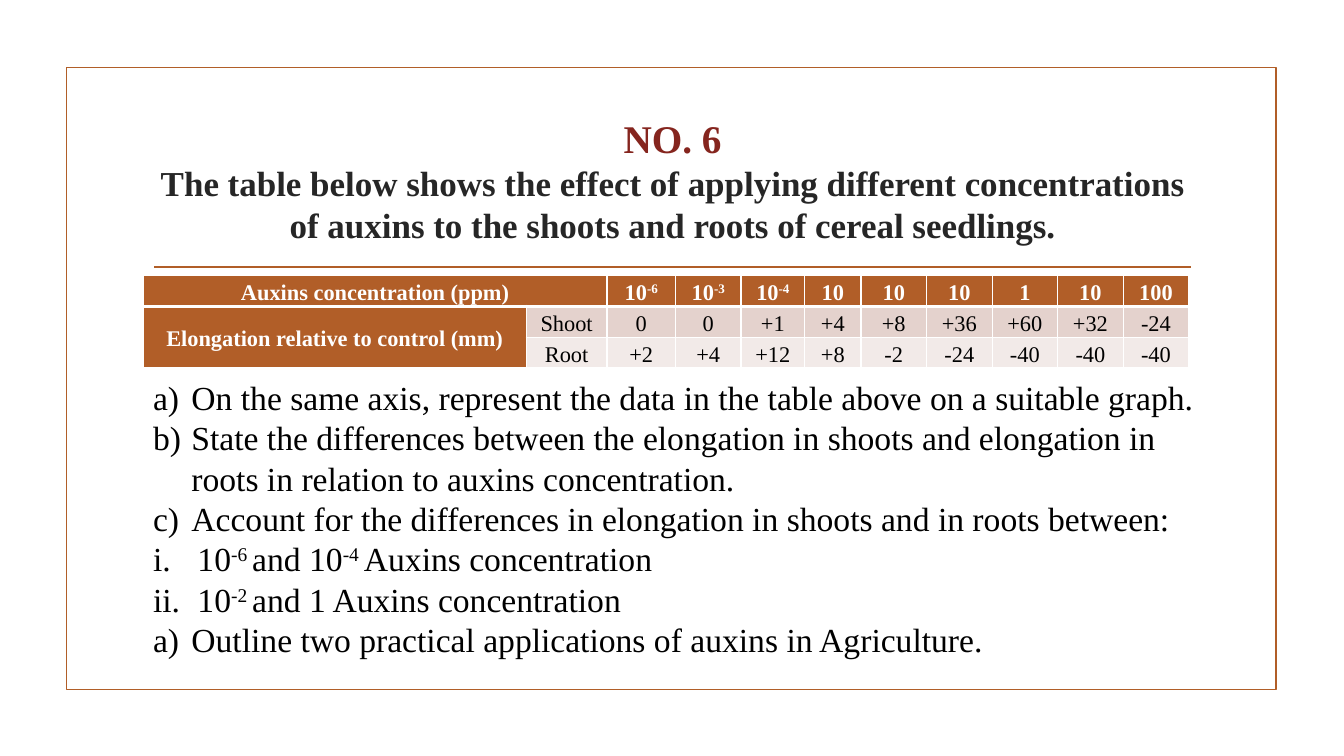
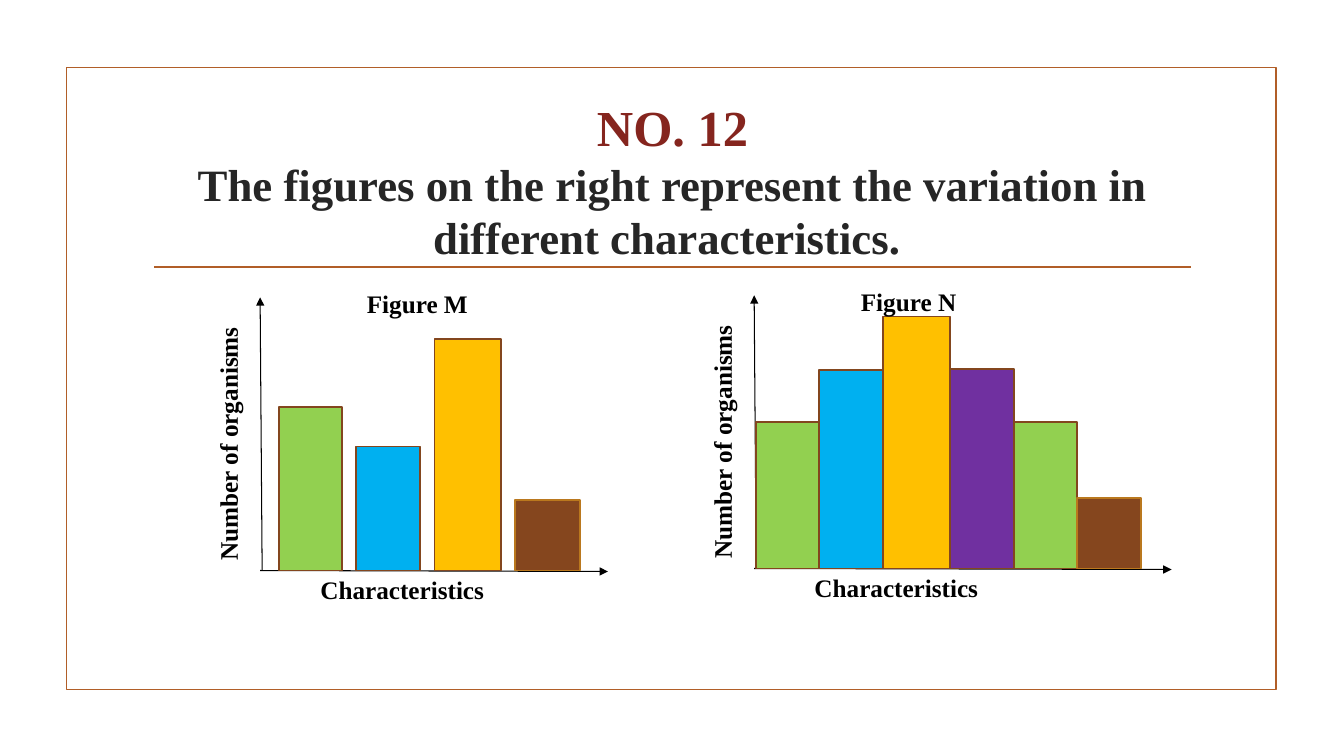
from lxml.etree import SubElement
from pptx import Presentation
from pptx.dml.color import RGBColor
from pptx.enum.shapes import MSO_CONNECTOR, MSO_SHAPE
from pptx.enum.text import MSO_ANCHOR, MSO_AUTO_SIZE, PP_ALIGN
from pptx.oxml.ns import qn
from pptx.util import Inches, Pt

FONT = "Times New Roman"
RUST = RGBColor(0xB1, 0x5E, 0x28)
DARK_RED = RGBColor(0x85, 0x25, 0x1E)
CHARCOAL = RGBColor(0x26, 0x26, 0x26)
BLACK = RGBColor(0x00, 0x00, 0x00)
WHITE = RGBColor(0xFF, 0xFF, 0xFF)
ROSE = RGBColor(0xE4, 0xD2, 0xCD)
PALE_ROSE = RGBColor(0xF2, 0xEA, 0xE8)
GREEN = RGBColor(0x92, 0xD0, 0x50)
BLUE = RGBColor(0x00, 0xB0, 0xF0)
GOLD = RGBColor(0xFF, 0xC0, 0x00)
PURPLE = RGBColor(0x70, 0x30, 0xA0)
BROWN = RGBColor(0x85, 0x46, 0x1E)
BAR_EDGE = RGBColor(0x83, 0x46, 0x1E)
BROWN_EDGE = RGBColor(0xBA, 0x78, 0x1E)

COLUMN_WIDTHS = [3.8, 0.8, 0.68, 0.65, 0.63, 0.56] + [0.65] * 5
TABLE_ROWS = [
    ["Auxins concentration (ppm)", "", "10^-6", "10^-3", "10^-4",
     "10", "10", "10", "1", "10", "100"],
    ["Elongation relative to control (mm)", "Shoot", "0", "0", "+1",
     "+4", "+8", "+36", "+60", "+32", "-24"],
    ["", "Root", "+2", "+4", "+12", "+8", "-2", "-24", "-40", "-40", "-40"],
]
LETTER = ("alphaLcParenR", 0.38)
ROMAN = ("romanLcPeriod", 0.44)
QUESTIONS = [
    (LETTER, "On the same axis, represent the data in the table above on a suitable graph."),
    (LETTER, "State the differences between the elongation in shoots and elongation in "
             "roots in relation to auxins concentration."),
    (LETTER, "Account for the differences in elongation in shoots and in roots between:"),
    (ROMAN, "10^-6 ^and 10^-4 ^Auxins concentration"),
    (ROMAN, "10^-2 ^and 1 Auxins concentration"),
    (LETTER, "Outline two practical applications of auxins in Agriculture."),
]
BAR_WIDTHS = {GREEN: 0.62, BLUE: 0.64, GOLD: 0.66, PURPLE: 0.64, BROWN: 0.64}
BARS_M = [(GREEN, 1.62), (BLUE, 1.23), (GOLD, 2.3), (BROWN, 0.7)]
BARS_N = [(GREEN, 1.45), (BLUE, 1.97), (GOLD, 2.5), (PURPLE, 1.98),
          (GREEN, 1.45), (BROWN, 0.7)]


def add_text(para, text, size, color=BLACK, bold=False):
    """Add runs to a paragraph; the parts between carets are superscript."""
    for index, part in enumerate(text.split("^")):
        if not part:
            continue
        span = para.add_run()
        span.text = part
        span.font.name, span.font.size = FONT, Pt(size)
        span.font.bold, span.font.color.rgb = bold, color
        if index % 2:
            span.font._element.set("baseline", "30000")


def add_line(shapes, start, end, color, width, arrow=False):
    """Draw a straight line, with an arrowhead at its end if asked."""
    line = shapes.add_connector(
        MSO_CONNECTOR.STRAIGHT, *(Inches(value) for value in (*start, *end)))
    line.line.color.rgb, line.line.width = color, Pt(width)
    if arrow:
        SubElement(line.line._get_or_add_ln(), qn("a:tailEnd"), type="triangle")
    SubElement(line.element.spPr, qn("a:effectLst"))
    return line


def add_rectangle(shapes, left, top, width, height, edge, fill=None):
    """Draw an outlined rectangle, filled if a colour is given."""
    box = shapes.add_shape(
        MSO_SHAPE.RECTANGLE, *(Inches(value) for value in (left, top, width, height)))
    box.shadow.inherit = False
    box.line.color.rgb, box.line.width = edge, Pt(1.25)
    if fill is None:
        box.fill.background()
    else:
        box.fill.solid()
        box.fill.fore_color.rgb = fill
    return box


def add_text_box(shapes, left, top, width, height):
    """Add an empty wrapping text box."""
    box = shapes.add_textbox(*(Inches(value) for value in (left, top, width, height)))
    box.text_frame.word_wrap = True
    return box.text_frame


def format_layout(layout, slide):
    """Give the layout its frame, rule and title place, drawn by way of a slide."""
    frame = add_rectangle(slide.shapes, 0.66, 0.67, 12, 6.17, RUST)
    rule = add_line(slide.shapes, (1.53, 2.65), (11.81, 2.65), RUST, 1.25)
    for shape in (frame, rule):
        layout.shapes.element.append(shape.element)
    title = layout.placeholders[0]
    title.left, title.top = Inches(1.42), Inches(1.07)
    title.width, title.height = Inches(10.5), Inches(1.43)


def set_title(slide, number, number_size, sentence, sentence_size):
    """Write the question number above its sentence in the title."""
    frame = slide.shapes.title.text_frame
    frame.auto_size = MSO_AUTO_SIZE.NONE
    frame.vertical_anchor = MSO_ANCHOR.MIDDLE
    para = frame.paragraphs[0]
    para.alignment = PP_ALIGN.CENTER
    add_text(para, number, number_size, DARK_RED, True)
    para.add_line_break()
    SubElement(para._p[-1], qn("a:rPr"), sz=str(number_size * 100))
    add_text(para, sentence, sentence_size, CHARCOAL, True)


def set_bottom_border(cell, color, width):
    """Draw the lower border of a table cell."""
    properties = cell._tc.get_or_add_tcPr()
    border = SubElement(properties, qn("a:lnB"), w=str(Pt(width)))
    SubElement(SubElement(border, qn("a:solidFill")), qn("a:srgbClr"), val=str(color))
    properties.insert(0, border)


def add_auxin_table(slide, left, top):
    """Place the table of concentrations and elongations."""
    table = slide.shapes.add_table(
        len(TABLE_ROWS), len(COLUMN_WIDTHS), Inches(left), Inches(top),
        Inches(sum(COLUMN_WIDTHS)), Inches(0.92)).table
    for column, width in zip(table.columns, COLUMN_WIDTHS):
        column.width = Inches(width)
    for row, height in zip(table.rows, (0.31, 0.31, 0.3)):
        row.height = Inches(height)
    table.cell(0, 0).merge(table.cell(0, 1))
    table.cell(1, 0).merge(table.cell(2, 0))
    for row, texts in enumerate(TABLE_ROWS):
        for column, text in enumerate(texts):
            heading = row == 0 or column == 0
            cell = table.cell(row, column)
            cell.fill.solid()
            cell.fill.fore_color.rgb = RUST if heading else (ROSE, PALE_ROSE)[row - 1]
            cell.vertical_anchor = MSO_ANCHOR.MIDDLE
            cell.margin_left = cell.margin_right = Inches(0.07)
            cell.margin_top = cell.margin_bottom = 0
            if row == 0:
                set_bottom_border(cell, WHITE, 3)
            para = cell.text_frame.paragraphs[0]
            para.alignment, para.line_spacing = PP_ALIGN.CENTER, 1.15
            add_text(para, text, 16, WHITE if heading else BLACK, heading)


def add_questions(slide, left, top, width, height):
    """Place the numbered list of questions."""
    frame = add_text_box(slide.shapes, left, top, width, height)
    for index, ((numbering, indent), text) in enumerate(QUESTIONS):
        para = frame.add_paragraph() if index else frame.paragraphs[0]
        properties = para._p.get_or_add_pPr()
        properties.set("marL", str(Inches(indent)))
        properties.set("indent", str(-Inches(indent)))
        SubElement(properties, qn("a:buFont"), typeface="+mj-lt")
        SubElement(properties, qn("a:buAutoNum"), type=numbering)
        add_text(para, text, 24)


def add_figure(slide, left, base, name, bars, axis_length, first=0.0, gap=0.0):
    """Draw a bar figure whose axes meet at the given point."""
    shapes = slide.shapes.add_group_shape().shapes
    add_line(shapes, (left - 0.02, base), (left + axis_length, base + 0.01), BLACK, 0.75, True)
    add_line(shapes, (left, base), (left - 0.02, base - 2.71), BLACK, 0.75, True)
    bar_left = left + first
    for color, height in bars:
        width = BAR_WIDTHS[color]
        edge = BROWN_EDGE if color == BROWN else BAR_EDGE
        add_rectangle(shapes, bar_left, base - height, width, height, edge, color)
        bar_left += width + gap
    count_label = add_text_box(shapes, left - 0.54, base - 2.7, 0.64, 2.7)
    count_label._txBody.bodyPr.set("vert", "vert270")
    trait_label = add_text_box(shapes, left + 0.48, base - 0.01, 2.27, 0.4)
    name_label = add_text_box(shapes, left + 0.94, base - 2.85, 1.5, 0.4)
    for frame, text in ((count_label, "Number of organisms"),
                        (trait_label, "Characteristics"), (name_label, name)):
        add_text(frame.paragraphs[0], text, 18, BLACK, True)


def build_auxin_slide(slide):
    """Fill the slide about auxin concentrations."""
    set_title(slide, "NO. 6", 28,
              "The table below shows the effect of applying different concentrations "
              "of auxins to the shoots and roots of cereal seedlings.", 25)
    add_auxin_table(slide, 1.42, 2.73)
    add_questions(slide, 1.42, 3.69, 10.79, 2.93)


def build_variation_slide(slide):
    """Fill the slide about variation in characteristics."""
    set_title(slide, "NO. 12", 36,
              "The figures on the right represent the variation in "
              "different characteristics. ", 32)
    add_figure(slide, 2.6, 5.66, "Figure M", BARS_M, 3.43, 0.17, 0.14)
    add_figure(slide, 7.5, 5.64, "Figure N", BARS_N, 4.12)


def main():
    """Build and save the deck."""
    deck = Presentation()
    deck.slide_width, deck.slide_height = Inches(13.33), Inches(7.5)
    layout = deck.slide_layouts[5]
    pages = [deck.slides.add_slide(layout) for _ in range(2)]
    format_layout(layout, pages[0])
    build_auxin_slide(pages[0])
    build_variation_slide(pages[1])
    deck.save("out.pptx")


if __name__ == "__main__":
    main()
